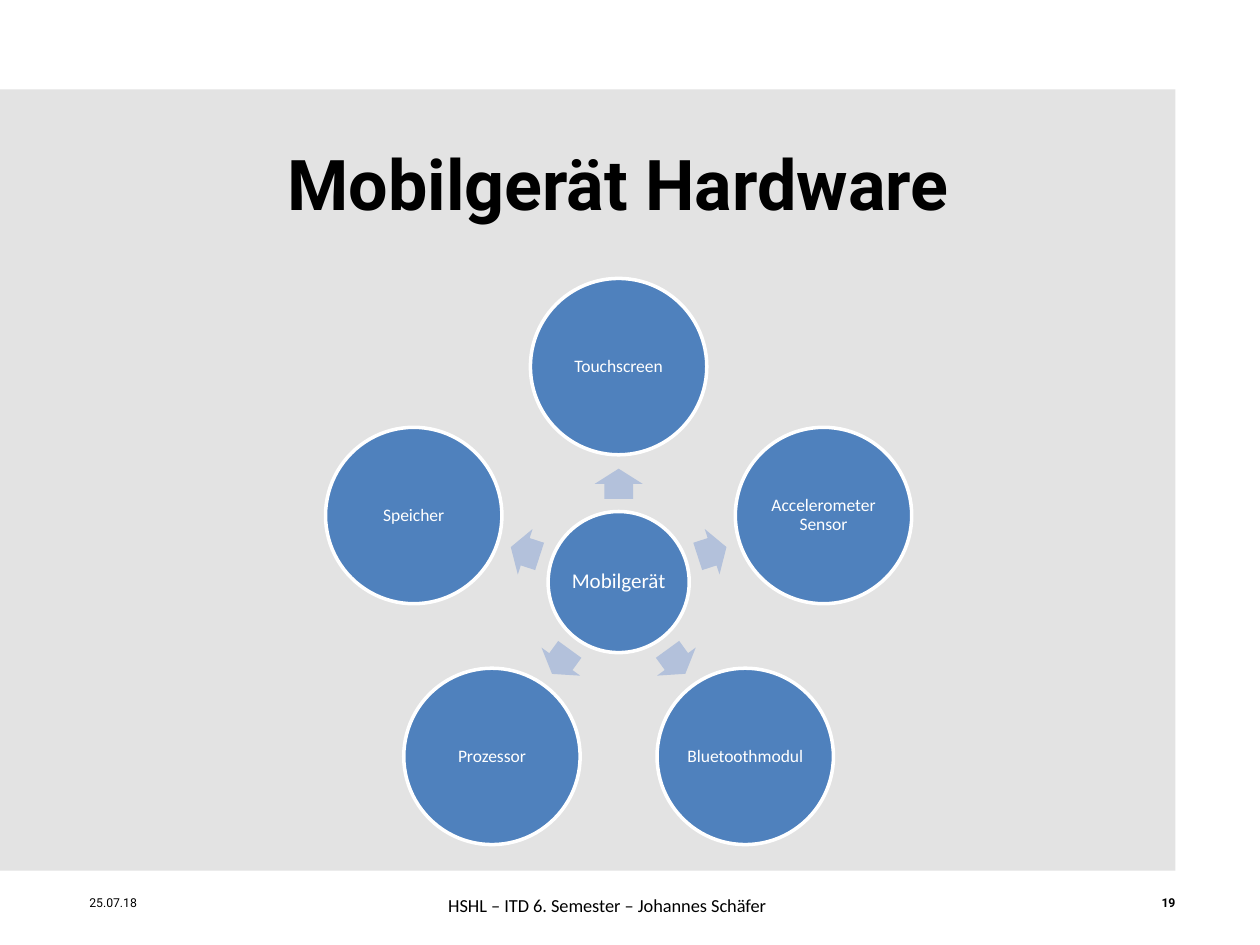
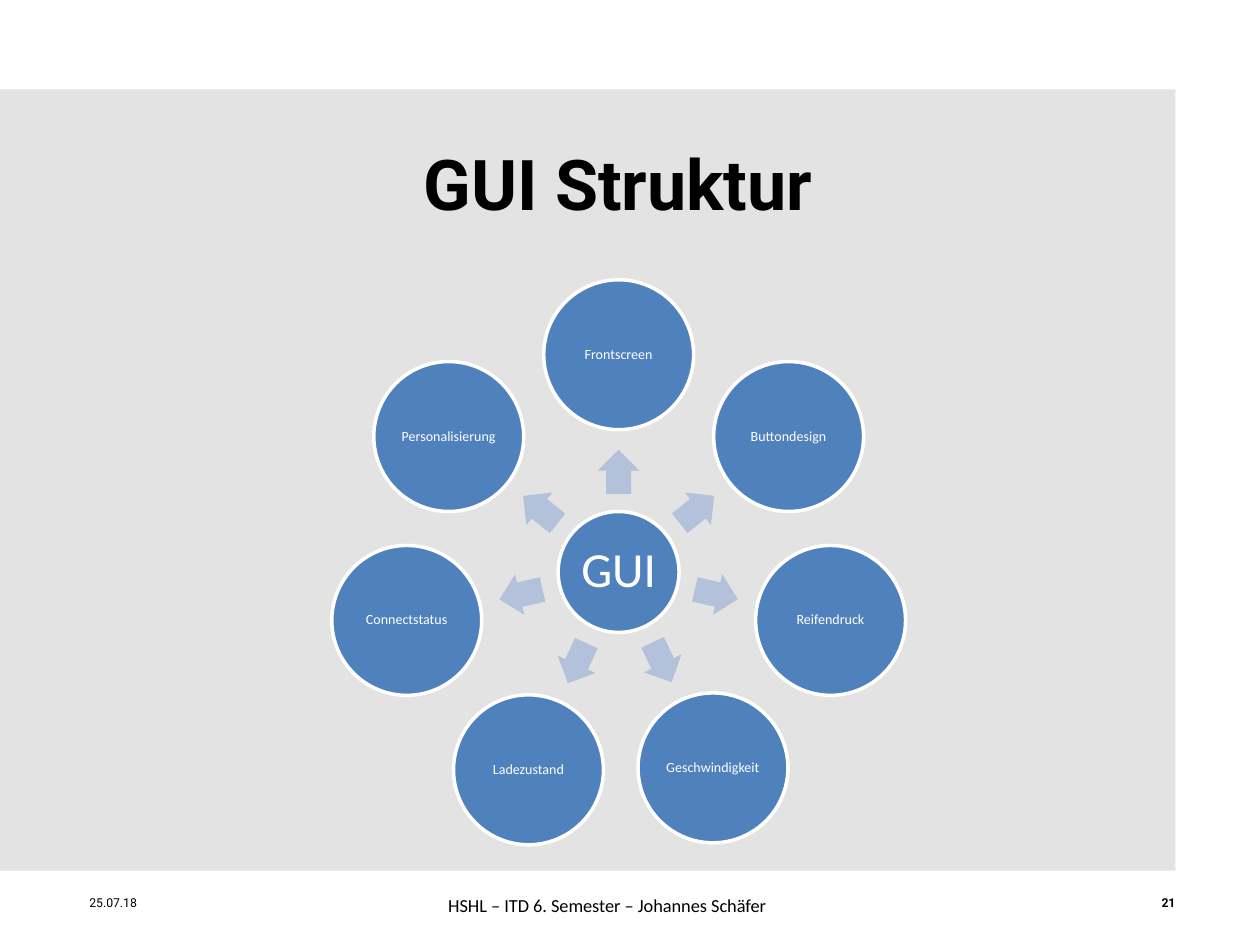
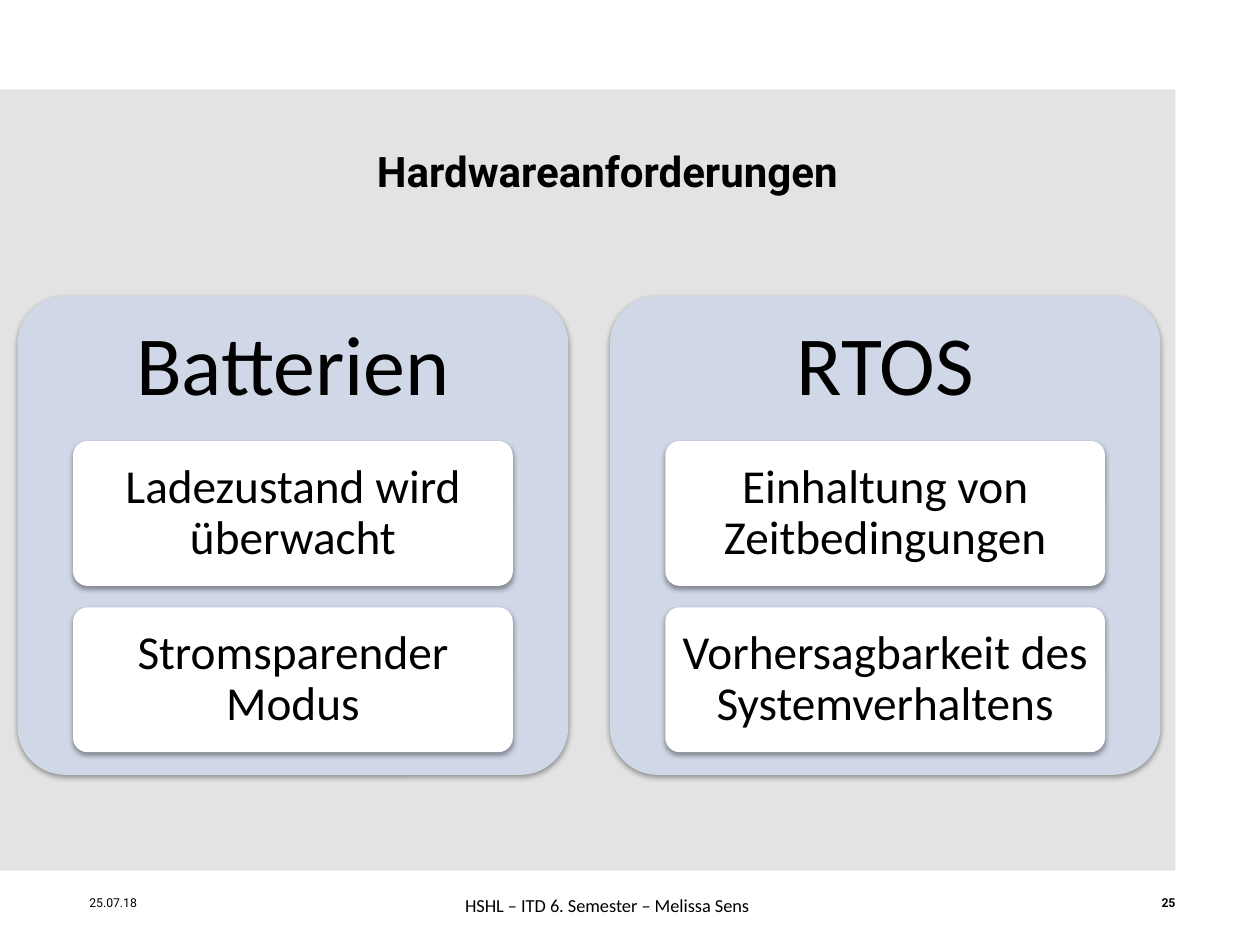
import math
from lxml import etree
from pptx import Presentation
from pptx import util as u
from pptx.dml.color import RGBColor
from pptx.enum import shapes, text
from pptx.oxml import ns

HUES = {
    "band": "E3E3E3",
    "disc": "4F81BD",
    "arrow": "B3C1DB",
    "panel": "D0D8E8",
    "white": "FFFFFF",
    "black": "000000",
}
COLS = 100
KIND = shapes.MSO_SHAPE
SIDE = text.PP_ALIGN


def hue(name):
    return RGBColor.from_string(HUES[name])


def put(frame, words, size=10, face="Calibri", tint="black", bold=False,
        side=SIDE.CENTER, pad=(0, 0), lead=None, wrap=True):
    frame.auto_size = text.MSO_AUTO_SIZE.NONE
    frame.word_wrap = wrap
    frame.vertical_anchor = text.MSO_ANCHOR.MIDDLE
    frame.margin_left = frame.margin_right = u.Inches(pad[0])
    frame.margin_top = frame.margin_bottom = u.Inches(pad[1])
    par = frame.paragraphs[0]
    par.alignment = side
    par.line_spacing = lead
    run = par.add_run()
    run.text = words
    font = run.font
    font.name, font.size, font.bold = face, u.Pt(size), bold
    font.color.rgb = hue(tint)


class Deck:
    def __init__(self):
        self.file = Presentation()
        self.file.slide_width = u.Inches(10)
        self.file.slide_height = u.Inches(7.5)
        self.cell = self.file.slide_width / COLS
        self.plan = self.file.slide_layouts[5]
        self.page = None

    def span(self, *cells):
        return [round(n * self.cell) for n in cells]

    def start(self, title, number, author, size=40, area=(7.1, 8.2, 83.9, 12.5), foot=27.8):
        first = self.page is None
        self.page = self.file.slides.add_slide(self.plan)
        if first:
            band = self.shape(KIND.RECTANGLE, (0, 7.1, 93.3, 62), "band")
            self.plan.shapes._spTree.insert(2, band._element)
        head = self.page.shapes.title
        head.left, head.top, head.width, head.height = self.span(*area)
        put(head.text_frame, title, size=size, face="Roboto", bold=True, pad=(0.1, 0.05))
        self.label("25.07.18", (7.1, 71, 23.3, 1.2), size=7, face="Roboto", side=SIDE.LEFT)
        self.label(number, (70, 71, 23.3, 1.2), size=7, face="Roboto", bold=True,
                   side=SIDE.RIGHT)
        self.label("HSHL – ITD 6. Semester – " + author, (48.2 - foot / 2, 70.4, foot, 2.8),
                   size=10.5, pad=(0.1, 0.05), wrap=False)

    def label(self, words, area, **look):
        box = self.page.shapes.add_textbox(*self.span(*area))
        put(box.text_frame, words, **look)

    def shape(self, kind, area, fill, rim=None):
        item = self.page.shapes.add_shape(kind, *self.span(*area))
        item.shadow.inherit = False
        item.fill.solid()
        item.fill.fore_color.rgb = hue(fill)
        if rim:
            item.line.color.rgb = hue(rim)
            item.line.width = u.Pt(2)
        else:
            item.line.fill.background()
        return item

    def disc(self, words, mid, wide, size, pad=0.01):
        area = (mid[0] - wide / 2, mid[1] - wide / 2, wide, wide)
        item = self.shape(KIND.OVAL, area, "disc", rim="white")
        put(item.text_frame, words, size=size, tint="white", pad=(pad, pad), lead=0.9)

    def arrow(self, mid, dims, turn):
        area = (mid[0] - dims[0] / 2, mid[1] - dims[1] / 2, *dims)
        item = self.shape(KIND.RIGHT_ARROW, area, "arrow")
        item.adjustments[0], item.adjustments[1] = 0.6, 0.5
        item.rotation = turn % 360

    def wheel(self, hub, names, mid, core, rim, reach, gap, dims, big, small, pad, tilt=None):
        self.disc(hub, mid, core, big, pad)
        for i, name in enumerate(names):
            turn = 360 * i / len(names) - 90 + (tilt or {}).get(name, 0)
            x, y = math.cos(math.radians(turn)), math.sin(math.radians(turn))
            self.arrow((mid[0] + gap * x, mid[1] + gap * y), dims, turn)
            self.disc(name, (mid[0] + reach * x, mid[1] + reach * y), rim, small)

    def card(self, area, fill):
        item = self.shape(KIND.ROUNDED_RECTANGLE, area, fill)
        item.adjustments[0] = 0.1
        glow = item._element.spPr.find(ns.qn("a:effectLst"))
        cast = etree.SubElement(glow, ns.qn("a:outerShdw"), blurRad=str(u.Pt(3.1)),
                                dist=str(u.Pt(1.6)), dir="5400000", rotWithShape="0")
        tone = etree.SubElement(cast, ns.qn("a:srgbClr"), val=HUES["black"])
        etree.SubElement(tone, ns.qn("a:alpha"), val="38000")
        return item

    def panel(self, left, title, notes):
        self.card((left, 23.5, 43.7, 38), "panel")
        self.label(title, (left, 23.5, 43.7, 11.4), size=48, pad=(0.2, 0.2), lead=0.9)
        for i, note in enumerate(notes):
            item = self.card((left + 4.4, 35 + 13.2 * i, 34.9, 11.5), "white")
            put(item.text_frame, note, size=27, pad=(0.07, 0.06), lead=0.9)


def main():
    deck = Deck()

    deck.start("Mobilgerät Hardware", "19", "Johannes Schäfer")
    deck.wheel("Mobilgerät",
               ["Touchscreen", "Accelerometer Sensor", "Bluetoothmodul", "Prozessor",
                "Speicher"],
               mid=(49.1, 46.2), core=11.2, rim=14, reach=17.1, gap=7.8,
               dims=(2.4, 3.8), big=12, small=10, pad=0.02)

    deck.start("GUI Struktur", "21", "Johannes Schäfer")
    deck.wheel("GUI",
               ["Frontscreen", "Buttondesign", "Reifendruck", "Geschwindigkeit",
                "Ladezustand", "Connectstatus", "Personalisierung"],
               mid=(49.1, 45.4), core=9.6, rim=11.9, reach=17.25, gap=7.95,
               dims=(3.5, 3.3), big=28, small=8, pad=0.04, tilt={"Ladezustand": -1.2})

    deck.start("Hardwareanforderungen", "25", "Melissa Sens", size=24,
               area=(7.1, 8.4, 82.2, 10.3), foot=25)
    panels = {
        "Batterien": ["Ladezustand wird überwacht", "Stromsparender Modus"],
        "RTOS": ["Einhaltung von Zeitbedingungen", "Vorhersagbarkeit des Systemverhaltens"],
    }
    for i, (title, notes) in enumerate(panels.items()):
        deck.panel(1.4 + 47 * i, title, notes)

    deck.file.save("out.pptx")


if __name__ == "__main__":
    main()
